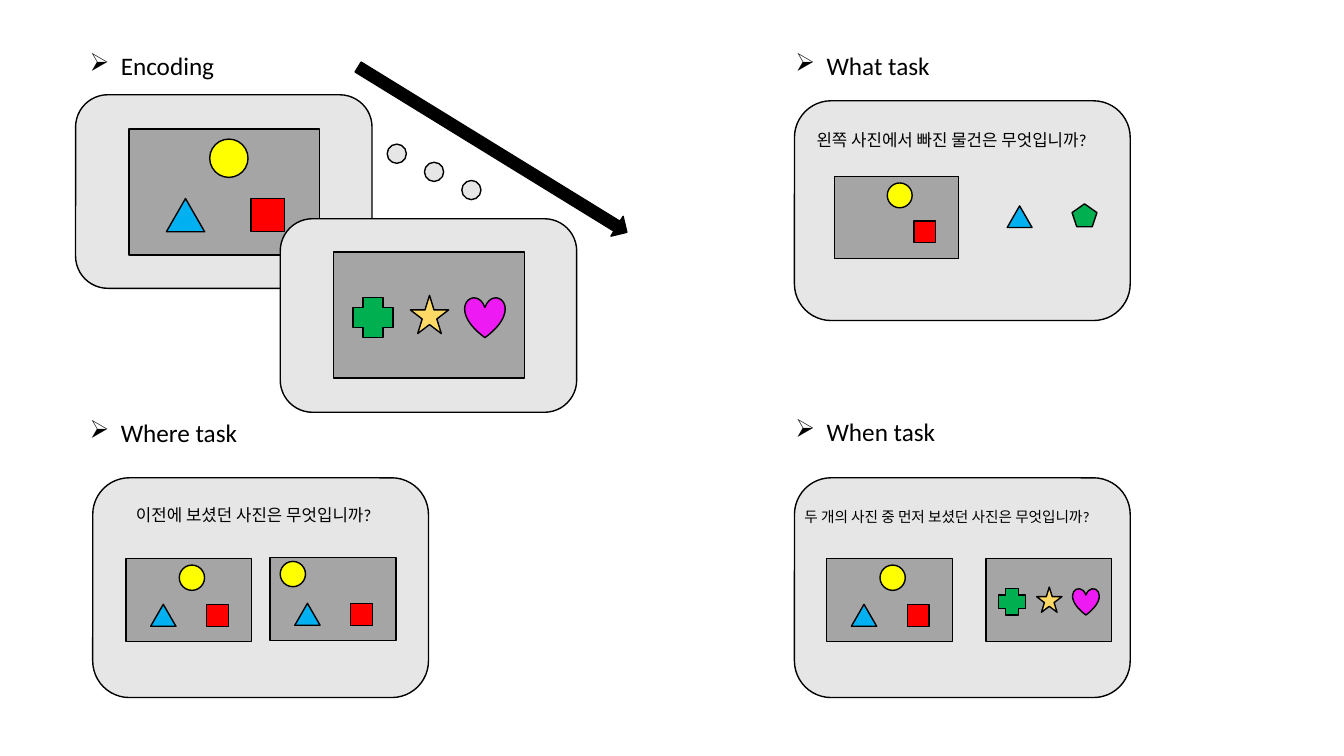
"""Builds a slide that shows an encoding phase and its what, where and when memory tasks."""
from lxml.etree import SubElement
from pptx import Presentation
from pptx.dml.color import RGBColor
from pptx.enum.shapes import MSO_SHAPE
from pptx.enum.text import MSO_AUTO_SIZE
from pptx.oxml.ns import qn
from pptx.util import Inches, Pt

BLACK = RGBColor(0x00, 0x00, 0x00)
CARD_GRAY = RGBColor(0xE7, 0xE6, 0xE6)
PHOTO_GRAY = RGBColor(0xA5, 0xA5, 0xA5)
YELLOW = RGBColor(0xFF, 0xFF, 0x00)
RED = RGBColor(0xFF, 0x00, 0x00)
BLUE = RGBColor(0x00, 0xB0, 0xF0)
GREEN = RGBColor(0x00, 0xB0, 0x50)
GOLD = RGBColor(0xFF, 0xD9, 0x66)
PINK = RGBColor(0xEE, 0x1A, 0xF3)

COLUMNS, ROWS = 13.33, 7.5
FONT = "Calibri"
PHOTO = (1.89, 1.25)
LARGE_CARD, SMALL_CARD = (2.94, 1.92), (3.33, 2.18)
FULL, TASK, WHAT = 1, 0.66, 0.65

OBJECTS = {
    "circle": (MSO_SHAPE.OVAL, YELLOW, 0.38, 0.38),
    "square": (MSO_SHAPE.RECTANGLE, RED, 0.33, 0.33),
    "triangle": (MSO_SHAPE.ISOSCELES_TRIANGLE, BLUE, 0.38, 0.33),
    "pentagon": (MSO_SHAPE.REGULAR_PENTAGON, GREEN, 0.38, 0.35),
    "star": (MSO_SHAPE.STAR_5_POINT, GOLD, 0.38, 0.38),
    "plus": (MSO_SHAPE.CROSS, GREEN, 0.4, 0.4),
    "heart": (MSO_SHAPE.HEART, PINK, 0.4, 0.4),
}

FIRST = {"circle": (0.8, 0.1), "square": (1.21, 0.69), "triangle": (0.37, 0.69)}
SECOND = {"star": (0.76, 0.43), "plus": (0.19, 0.45), "heart": (1.3, 0.45)}
MOVED = {**FIRST, "circle": (0.15, 0.06)}
MISSING = {"circle": (0.8, 0.1), "square": (1.21, 0.68),
           "triangle": (2.63, 0.45), "pentagon": (3.62, 0.42)}

FIRST_STUDY = ((0.75, 0.94), LARGE_CARD, None, [((0.53, 0.34), FULL, FIRST)])
LATER_CARDS = [
    ((7.88, 1), SMALL_CARD,
     ("왼쪽 사진에서 빠진 물건은 무엇입니까?", 12, (0.12, 0.24), (3.21, 0.3)),
     [((0.4, 0.75), WHAT, MISSING)]),
    ((0.92, 4.74), SMALL_CARD,
     ("이전에 보셨던 사진은 무엇입니까?", 12, (0.33, 0.22), (2.81, 0.3)),
     [((0.33, 0.8), TASK, FIRST), ((1.76, 0.79), TASK, MOVED)]),
    ((2.78, 2.17), LARGE_CARD, None, [((0.53, 0.33), FULL, SECOND)]),
    ((7.88, 4.74), SMALL_CARD,
     ("두 개의 사진 중 먼저 보셨던 사진은 무엇입니까?", 10.5, (0, 0.25), (3.44, 0.28)),
     [((0.32, 0.8), TASK, FIRST), ((1.9, 0.8), TASK, SECOND)]),
]

HEADINGS = [
    ("What task", 7.79, 0.45, 1.55),
    ("When task", 7.79, 4.08, 1.61),
    ("Where task", 0.79, 4.09, 1.68),
    ("Encoding", 0.79, 0.45, 1.46),
]
HEADING_INDENT = Inches(0.31)
TIME_ARROW = (3.32, 1.37, 3.13, 0.23)
TIME_ANGLE = 31.6
DOT_START, DOT_STEP, DOT_SIZE, DOT_COUNT = (3.84, 1.43), (0.37, 0.18), 0.19, 3


def add_figure(shapes, preset, color, left, top, width, height):
    figure = shapes.add_shape(preset, *map(Inches, (left, top, width, height)))
    figure.shadow.inherit = False
    figure.fill.solid()
    figure.fill.fore_color.rgb = color
    figure.line.color.rgb = BLACK
    figure.line.width = Pt(1)
    return figure


def add_label(shapes, text, size, left, top, width, height):
    label = shapes.add_textbox(*map(Inches, (left, top, width, height)))
    label.text_frame.word_wrap = False
    label.text_frame.auto_size = MSO_AUTO_SIZE.SHAPE_TO_FIT_TEXT
    paragraph = label.text_frame.paragraphs[0]
    paragraph.text = text
    paragraph.font.name = FONT
    paragraph.font.size = Pt(size)
    paragraph.font.color.rgb = BLACK
    return paragraph


def add_photo(shapes, left, top, scale, scene):
    width, height = (side * scale for side in PHOTO)
    add_figure(shapes, MSO_SHAPE.RECTANGLE, PHOTO_GRAY, left, top, width, height)
    for name, (x, y) in scene.items():
        preset, color, object_width, object_height = OBJECTS[name]
        add_figure(shapes, preset, color, left + x * scale, top + y * scale,
                   object_width * scale, object_height * scale)


def add_card(slide, corner, size, question, photos):
    left, top = corner
    shapes = slide.shapes.add_group_shape().shapes
    add_figure(shapes, MSO_SHAPE.ROUNDED_RECTANGLE, CARD_GRAY, left, top, *size)
    if question:
        text, points, (x, y), extent = question
        add_label(shapes, text, points, left + x, top + y, *extent)
    for (x, y), scale, scene in photos:
        add_photo(shapes, left + x, top + y, scale, scene)


def add_heading(slide, text, left, top, width):
    paragraph = add_label(slide.shapes, text, 18, left, top, width, 0.4)
    properties = paragraph._p.get_or_add_pPr()
    properties.set("marL", str(HEADING_INDENT))
    properties.set("indent", str(-HEADING_INDENT))
    bullet = SubElement(properties, qn("a:buChar"))
    bullet.set("char", "➢")
    properties.insert(0, bullet)


def main():
    presentation = Presentation()
    presentation.slide_width, presentation.slide_height = Inches(COLUMNS), Inches(ROWS)
    slide = presentation.slides.add_slide(presentation.slide_layouts[6])
    add_card(slide, *FIRST_STUDY)
    arrow = add_figure(slide.shapes, MSO_SHAPE.RIGHT_ARROW, BLACK, *TIME_ARROW)
    arrow.rotation = TIME_ANGLE
    for card in LATER_CARDS:
        add_card(slide, *card)
    for heading in HEADINGS:
        add_heading(slide, *heading)
    for index in range(DOT_COUNT):
        left, top = (start + index * step for start, step in zip(DOT_START, DOT_STEP))
        add_figure(slide.shapes, MSO_SHAPE.OVAL, CARD_GRAY, left, top, DOT_SIZE, DOT_SIZE)
    presentation.save("out.pptx")


if __name__ == "__main__":
    main()
